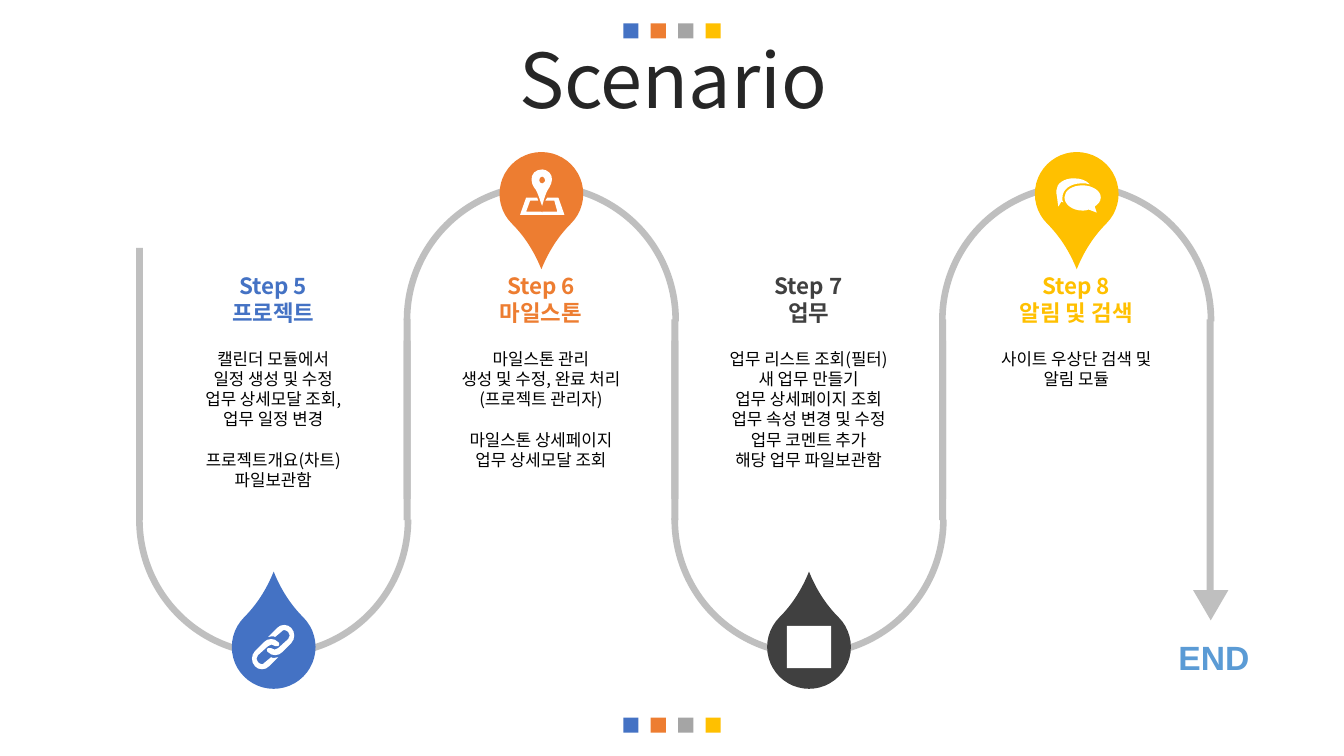
from copy import deepcopy
from dataclasses import dataclass
from pptx import Presentation
from pptx import util as u
from pptx.dml.color import RGBColor
from pptx.enum import shapes, text
from lxml import etree

HUES = {"blue": "4472C4", "orange": "ED7D31", "gray": "A5A5A5", "gold": "FFC000",
        "dark": "404040", "road": "BFBFBF", "white": "FFFFFF", "black": "000000",
        "title": "262626", "end": "5B9BD5"}
NOTO = "Noto Sans CJK KR"
LEFT, PITCH, ARC, WALL = 97.2, 191.2, 196.6, 5.0
TEAR, GRID, BLANK = 59.8, 0.72, 14.5
KIND = shapes.MSO_SHAPE

FORMS = {
    "title": {"size": u.Pt(54), "name": NOTO},
    "head": {"size": u.Pt(16), "name": NOTO, "bold": True},
    "body": {"size": u.Pt(12), "name": NOTO},
    "end": {"size": u.Pt(24), "name": "Arial", "bold": True},
}


@dataclass
class Icon:
    left: float
    top: float
    paths: list[str]


@dataclass
class Step:
    head: list[str]
    body: list[str]
    hue: str
    up: bool
    icon: Icon | None
    gap: int = -1


def turn(path: str, wide: int, high: int) -> str:
    return " ".join(
        ",".join(str((high if i % 2 else wide) - int(n)) for i, n in enumerate(mark.split(",")))
        for mark in path.split())


HOOK = ("19,14 22,14,24,15,26,17 27,17,27,18,27,18 28,21,25,22,23,21 21,19,18,19,16,21 "
        "6,30 4,32,4,35,6,37 7,38,9,39,10,39 11,39,12,38,13,37 19,32 20,33,24,33,26,32 "
        "17,41 15,43,13,44,10,44 7,44,5,43,3,41 -1,37,-1,30,3,26 12,17 14,15,16,14,19,14")
LINK = Icon(180, 446.4, [HOOK, turn(HOOK, 42, 44)])
PIN = Icon(371.5, 121, [
    "6,28 17,28 17,29,18,30,18,31 10,31 6,42 21,42 22,43,22,43,22,43 22,43,22,43,22,42 "
    "37,42 34,31 25,31 26,30,26,29,27,28 38,28 44,45 0,45",
    "22,7 20,7,19,9,19,11 19,12,20,14,22,14 23,14,25,12,25,11 25,9,23,7,22,7",
    "22,0 24,0,27,1,29,3 33,7,32,13,29,18 25,23,22,36,22,36 21,36,18,22,14,18 "
    "11,14,10,7,14,3 16,1,19,0,22,0"])
CHAT = Icon(754.6, 127.4, [
    "26,7 35,7,44,12,44,19 44,23,41,26,38,28 40,34 32,31 30,32,28,32,26,32 "
    "16,32,8,26,8,19 8,12,16,7,26,7",
    "17,0 24,0,30,2,33,6 31,5,28,5,25,5 14,5,6,11,6,19 6,20,6,21,6,22 6,22,7,24,7,24 "
    "5,23 2,28 1,24,1,19,0,15 0,14,0,13,0,12 0,5,8,0,17,0"])

STEPS = [
    Step(["Step 5", "프로젝트"],
         ["캘린더 모듈에서|일정 생성 및 수정", "업무 상세모달 조회,", "업무 일정 변경",
          "프로젝트개요(차트)", "파일보관함"], "blue", False, LINK, 3),
    Step(["Step 6", "마일스톤"],
         ["마일스톤 관리", "생성 및 수정, 완료 처리", "(프로젝트 관리자)",
          "마일스톤 상세페이지", "업무 상세모달 조회"], "orange", True, PIN, 3),
    Step(["Step 7", "업무"],
         ["업무 리스트 조회(필터)", "새 업무 만들기", "업무 상세페이지 조회",
          "업무 속성 변경 및 수정", "업무 코멘트 추가", "해당 업무 파일보관함"],
         "dark", False, None),
    Step(["Step 8", "알림 및 검색"], ["사이트 우상단 검색 및 알림 모듈"], "gold", True, CHAT),
]


def paint(shape, hue: str) -> None:
    shape.shadow.inherit = False
    shape.fill.solid()
    shape.fill.fore_color.rgb = RGBColor.from_string(HUES[hue])
    shape.line.fill.background()


def block(slide, kind, at: tuple, hue: str, spin: float = 0, bends: tuple = ()) -> None:
    shape = slide.shapes.add_shape(kind, *map(u.Pt, at))
    for i, bend in enumerate(bends):
        shape.adjustments[i] = bend
    shape.rotation = spin
    paint(shape, hue)


def write(slide, at: tuple, lines: list[str], form: str, hue: str, gap: int = -1,
          mid: bool = False, lead: float | None = None) -> None:
    frame = slide.shapes.add_textbox(*map(u.Pt, at)).text_frame
    frame.word_wrap = True
    frame.vertical_anchor = text.MSO_ANCHOR.MIDDLE if mid else text.MSO_ANCHOR.TOP
    for i, line in enumerate(lines):
        para = frame.paragraphs[0] if i == 0 else frame.add_paragraph()
        para.alignment = text.PP_ALIGN.CENTER
        if lead:
            para.line_spacing = lead
        if i == gap:
            para.space_before = u.Pt(BLANK)
        for j, piece in enumerate(line.split("|")):
            if j:
                para.add_line_break()
                para._p[-1].append(deepcopy(para.runs[0].font._element))
            run = para.add_run()
            run.text = piece
            for key, val in FORMS[form].items():
                setattr(run.font, key, val)
            run.font.color.rgb = RGBColor.from_string(HUES[hue])


def draw(slide, icon: Icon) -> None:
    pen, marks = None, []
    for path in icon.paths:
        dots = [[(u.Pt(icon.left + GRID * float(x)), u.Pt(icon.top + GRID * float(y)))
                 for x, y in zip(nums[::2], nums[1::2])]
                for nums in (mark.split(",") for mark in path.split())]
        start = dots[0][-1]
        if pen is None:
            pen = slide.shapes.build_freeform(*start)
        else:
            pen.move_to(*start)
        pen.add_line_segments([dot[-1] for dot in dots[1:]], close=True)
        marks += dots[1:]
    shape = pen.convert_to_shape()
    paint(shape, "white")
    space = f"{{{shape._element.nsmap['a']}}}"
    for line, dot in zip(list(shape._element.iter(space + "lnTo")), marks):
        if len(dot) == 3:
            curve = etree.Element(space + "cubicBezTo")
            for x, y in dot:
                etree.SubElement(curve, space + "pt", x=str(x - shape.left),
                                 y=str(y - shape.top))
            line.getparent().replace(line, curve)


def road(slide, i: int, step: Step) -> None:
    left = LEFT + i * PITCH
    block(slide, KIND.BLOCK_ARC, (left, 130.3 if step.up else 272.9, ARC, ARC), "road",
          0 if step.up else 180, (108, 0.356, 0.024))
    for side in (0, 1):
        tall = 194.4 if i + side in (0, len(STEPS)) else 128.2
        top = 228.2 if step.up else 371.5 - tall
        block(slide, KIND.RECTANGLE, (left + side * PITCH, top, WALL, tall), "road")


def label(slide, i: int, step: Step) -> None:
    mid = LEFT + i * PITCH + ARC / 2
    block(slide, KIND.TEAR, (mid - TEAR / 2, 108.6 if step.up else 432.2, TEAR, TEAR),
          step.hue, 135 if step.up else 315, (1.273,))
    if step.icon:
        draw(slide, step.icon)
    else:
        block(slide, KIND.RECTANGLE, (mid - 15.8, 447.1, 31.6, 30.2), "white")
    write(slide, (mid - 69.4, 190.8, 138.2, 46), step.head, "head", step.hue)
    write(slide, (mid - 69.4, 245.5, 138.2, 94.3), step.body, "body", "black", step.gap)


def main() -> None:
    deck = Presentation()
    deck.slide_width, deck.slide_height = u.Pt(960), u.Pt(540)
    slide = deck.slides.add_slide(deck.slide_layouts[6])
    for top in (16.6, 512.6):
        for i, hue in enumerate(("blue", "orange", "gray", "gold")):
            block(slide, KIND.RECTANGLE, (445.2, top, 10.8, 10.8)[:0] +
                  (445.2 + 19.6 * i, top, 10.8, 10.8), hue)
    for part in (road, label):
        for i, step in enumerate(STEPS):
            part(slide, i, step)
    block(slide, KIND.ISOSCELES_TRIANGLE, (852.2, 421.5, 25.2, 21.6), "road", 180)
    write(slide, (25.2, 31.7, 911.5, 56.9), ["Scenario"], "title", "title", mid=True, lead=0.9)
    write(slide, (813.8, 453.6, 106.6, 31.7), ["END"], "end", "end", mid=True)
    deck.save("out.pptx")


if __name__ == "__main__":
    main()
